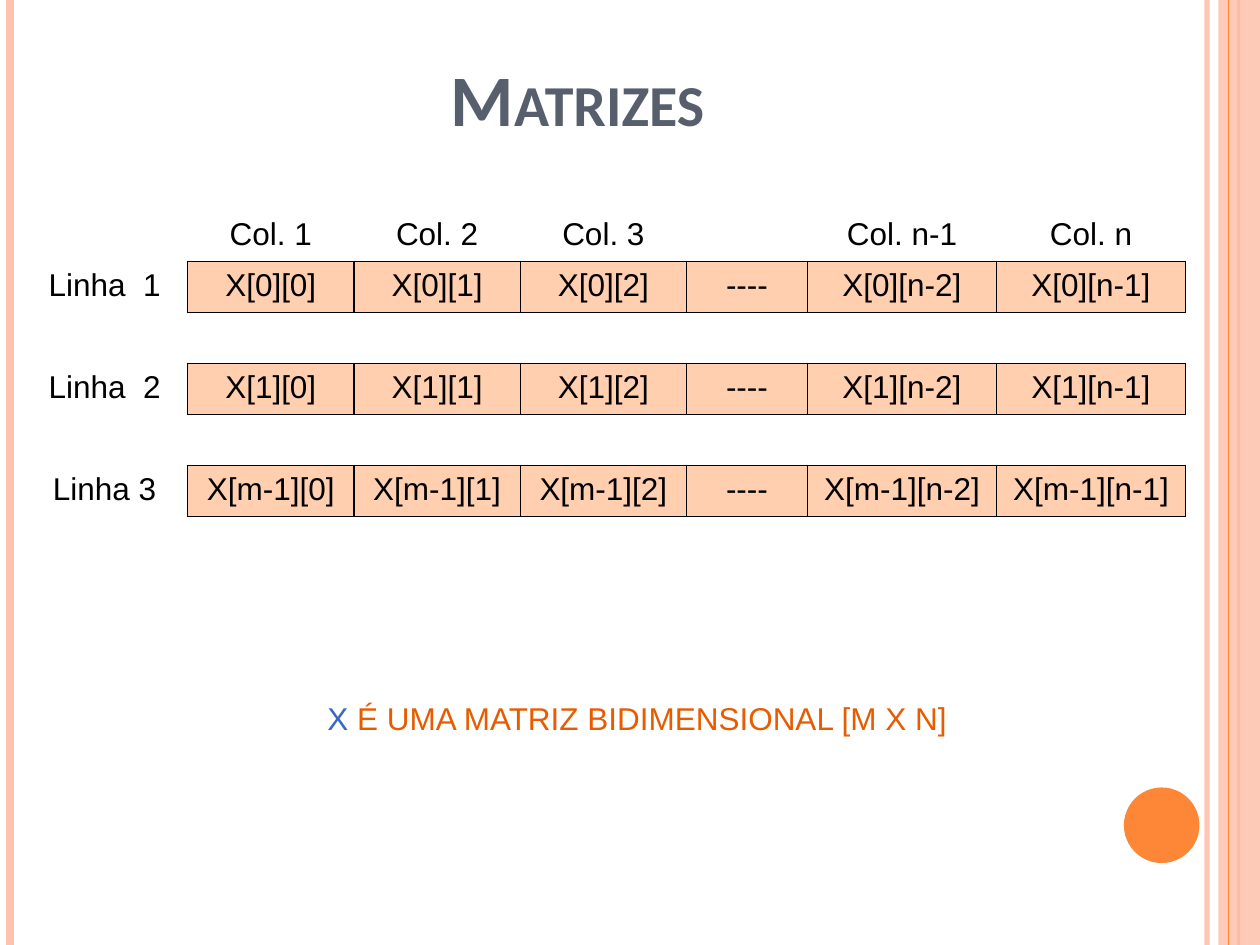
import pptx
import pptx.dml.color
import pptx.enum.shapes
import pptx.enum.text
import pptx.oxml.ns
import pptx.util
import lxml.etree

Inches = pptx.util.Inches
Pt = pptx.util.Pt
qn = pptx.oxml.ns.qn
ALIGN = pptx.enum.text.PP_ALIGN
ANCHOR = pptx.enum.text.MSO_ANCHOR
SHAPE = pptx.enum.shapes.MSO_SHAPE

PINK, ORANGE, PEACH, BLACK = "FEC3AE", "FE8637", "FFCFAF", "000000"
NO_STYLE = "{2D5ABB26-0587-4C30-8999-92F81FD0307C}"
SIDES = {"L": (0, -1), "R": (0, 1), "T": (-1, 0), "B": (1, 0)}


def rgb(color):
    return pptx.dml.color.RGBColor.from_string(color)


def add_alpha(element, percent):
    """Make the solid fill inside an element partly transparent."""
    for color in element.iter(qn("a:srgbClr")):
        lxml.etree.SubElement(color, qn("a:alpha"), val=str(percent * 1000))


def write(frame, *parts, size=18, font="Arial", align=ALIGN.LEFT,
          bold=False, small_caps=False):
    """Write (text, color) parts as one paragraph."""
    para = frame.paragraphs[0]
    para.alignment = align
    for text, color in parts:
        span = para.add_run()
        span.text = text
        span.font.size = Pt(size)
        span.font.name = font
        span.font.bold = bold
        span.font.color.rgb = rgb(color)
        if small_caps:
            span.font._element.set("cap", "small")


def add_text_box(page, left, top, width, height, *parts, wrap=True,
                 anchor=ANCHOR.TOP, **text_format):
    box = page.shapes.add_textbox(Inches(left), Inches(top),
                                  Inches(width), Inches(height))
    box.text_frame.word_wrap = wrap
    box.text_frame.vertical_anchor = anchor
    write(box.text_frame, *parts, **text_format)
    return box


def add_stripe(page, x, color, weight, opacity=100):
    stripe = page.shapes.add_connector(
        pptx.enum.shapes.MSO_CONNECTOR.STRAIGHT,
        Inches(x), Inches(0), Inches(x), Inches(7.5))
    stripe.line.color.rgb = rgb(color)
    stripe.line.width = Pt(weight)
    properties = stripe._element.spPr
    if opacity < 100:
        add_alpha(properties, opacity)
    lxml.etree.SubElement(properties, qn("a:effectLst"))


def add_block(page, kind, left, top, width, height, color, opacity=100):
    block = page.shapes.add_shape(kind, Inches(left), Inches(top),
                                  Inches(width), Inches(height))
    block.shadow.inherit = False
    block.fill.solid()
    block.fill.fore_color.rgb = rgb(color)
    block.line.fill.background()
    if opacity < 100:
        add_alpha(block._element.spPr, opacity)


def set_borders(cell, drawn_sides):
    """Draw the named sides of a cell and clear the others."""
    properties = cell._tc.get_or_add_tcPr()
    for index, side in enumerate(SIDES):
        edge = lxml.etree.Element(qn("a:ln" + side), w=str(Pt(1)))
        if side in drawn_sides:
            fill = lxml.etree.SubElement(edge, qn("a:solidFill"))
            lxml.etree.SubElement(fill, qn("a:srgbClr"), val=BLACK)
        else:
            lxml.etree.SubElement(edge, qn("a:noFill"))
        properties.insert(index, edge)


def add_matrix(page, left, top, widths, row_height, rows):
    frame = page.shapes.add_table(len(rows), len(widths), Inches(left),
                                  Inches(top), Inches(sum(widths)),
                                  Inches(row_height * len(rows)))
    table = frame.table
    table.first_row = table.horz_banding = False
    table._tbl.tblPr.find(qn("a:tableStyleId")).text = NO_STYLE
    for column, width in zip(table.columns, widths):
        column.width = Inches(width)

    # Odd rows hold matrix elements, after the row label
    elements = {(r, c) for r in range(1, len(rows), 2)
                for c in range(1, len(widths))}
    for r, texts in enumerate(rows):
        table.rows[r].height = Inches(row_height)
        for c, text in enumerate(texts):
            cell = table.cell(r, c)
            if text:
                write(cell.text_frame, (text, BLACK), align=ALIGN.CENTER)
            if (r, c) in elements:
                cell.fill.solid()
                cell.fill.fore_color.rgb = rgb(PEACH)
            else:
                cell.fill.background()
            set_borders(cell, [side for side, (down, right) in SIDES.items()
                               if (r, c) in elements
                               or (r + down, c + right) in elements])


def matrix_rows():
    rows = [["", "Col. 1", "Col. 2", "Col. 3", "", "Col. n-1", "Col. n"]]
    for label, i in (("Linha  1", "0"), ("Linha  2", "1"), ("Linha 3", "m-1")):
        if len(rows) > 1:
            rows.append([""] * 7)
        first = [f"X[{i}][{j}]" for j in range(3)]
        last = [f"X[{i}][{j}]" for j in ("n-2", "n-1")]
        rows.append([label, *first, "----", *last])
    return rows


def main():
    deck = pptx.Presentation()
    deck.slide_width, deck.slide_height = Inches(10), Inches(7.5)
    page = deck.slides.add_slide(deck.slide_layouts[6])

    # Side decoration
    add_stripe(page, 9.58, PINK, 3, opacity=93)
    add_stripe(page, 0.08, PINK, 4.5)
    add_stripe(page, 9.83, ORANGE, 1.5)
    add_block(page, SHAPE.RECTANGLE, 9.67, 0, 0.33, 7.5, PINK, opacity=87)
    add_stripe(page, 9.75, ORANGE, 0.75)
    add_block(page, SHAPE.OVAL, 8.92, 6.25, 0.6, 0.6, ORANGE)

    # Title
    add_text_box(page, 0.5, 0.3, 8.17, 0.87, ("Matrizes", "575F6D"),
                 anchor=ANCHOR.BOTTOM, size=41.4, font="Calibri",
                 align=ALIGN.CENTER, bold=True, small_caps=True)

    # Matrix with row and column labels
    widths = [1.32] * 4 + [0.96] + [1.5] * 2
    add_matrix(page, 0.17, 1.67, widths, 2.43 / 6, matrix_rows())

    # Caption
    caption = add_text_box(page, 2.5, 5.5, 5.17, 0.4, ("X", "3668C4"),
                           (" É UMA MATRIZ BIDIMENSIONAL [M X N]", "E75C01"),
                           wrap=False)
    caption.text_frame.auto_size = (
        pptx.enum.text.MSO_AUTO_SIZE.SHAPE_TO_FIT_TEXT)

    deck.save("out.pptx")


main()
